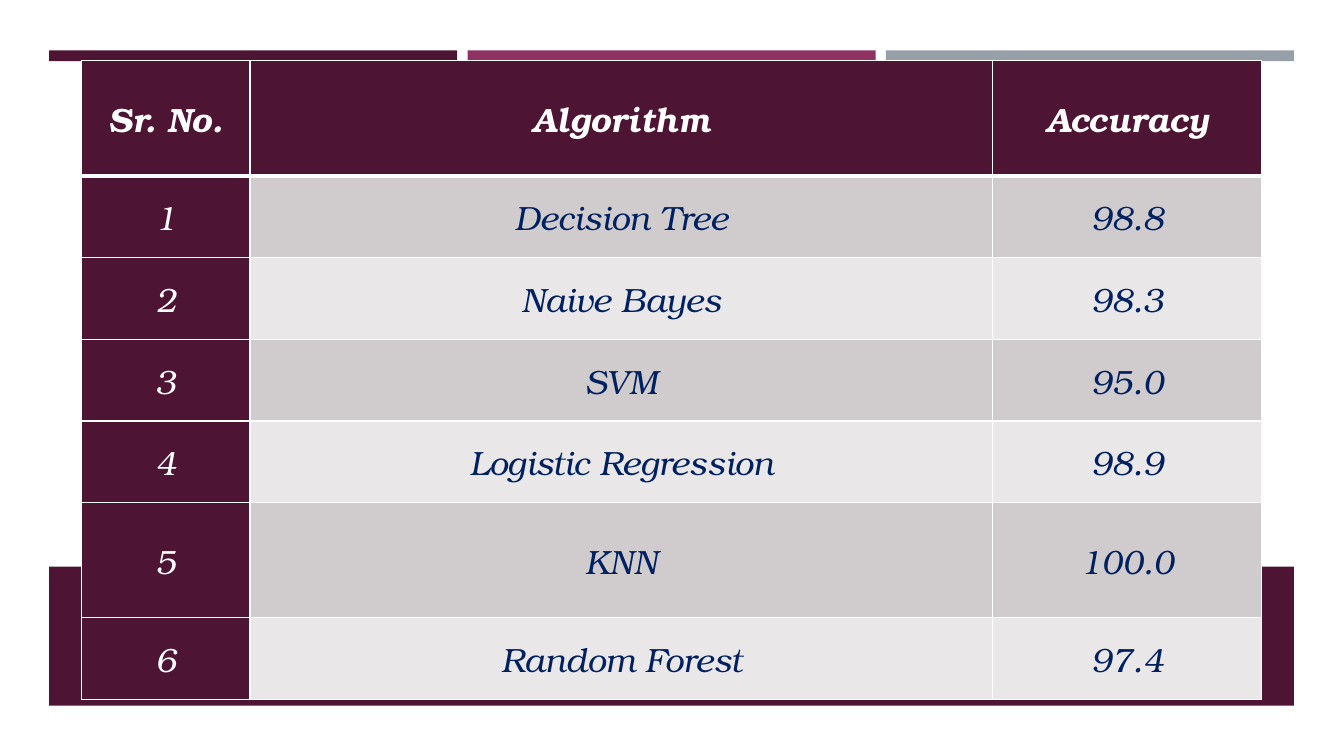
from lxml import etree
from pptx import Presentation
from pptx.dml.color import RGBColor
from pptx.enum.shapes import MSO_SHAPE
from pptx.enum.text import MSO_ANCHOR, PP_ALIGN
from pptx.oxml.ns import qn
from pptx.util import Cm, Pt

RECT = MSO_SHAPE.RECTANGLE
MIDDLE = MSO_ANCHOR.MIDDLE
CENTER = PP_ALIGN.CENTER

COLORS = {
    "plum": "4D1434",
    "berry": "903163",
    "slate": "969FA7",
    "dark": "D0CCCE",
    "light": "E9E7E8",
    "navy": "002060",
    "white": "FFFFFF",
}
FONT = {"name": "TeX Gyre Bonum", "size": Pt(24), "italic": True}
CELL = {
    "vertical_anchor": MIDDLE,
    "margin_left": Cm(0.03),
    "margin_right": Cm(0.03),
    "margin_top": Cm(0.03),
    "margin_bottom": Cm(0),
}
PLAIN = {"first_row": False, "horz_banding": False}
COLS = (4.24, 18.72, 6.78)
TALL, SHORT = 2.9, 2.06
ROWS = (TALL, SHORT, SHORT, SHORT, SHORT, TALL, SHORT)
HEADS = ("Sr. No.", "Algorithm", "Accuracy")
SCORES = (
    ("Decision Tree", "98.8"),
    ("Naive Bayes", "98.3"),
    ("SVM", "95.0"),
    ("Logistic Regression", "98.9"),
    ("KNN", "100.0"),
    ("Random Forest", "97.4"),
)


def set_all(target, values):
    for name, value in values.items():
        setattr(target, name, value)


def paint(fill, color):
    fill.solid()
    fill.fore_color.rgb = RGBColor.from_string(COLORS[color])


def add_bar(slide, left, top, width, height, color):
    bar = slide.shapes.add_shape(RECT, Cm(left), Cm(top), Cm(width), Cm(height))
    bar.shadow.inherit = False
    bar.line.fill.background()
    paint(bar.fill, color)


def add_strip(slide, left, top, width, height):
    gap = 0.26
    tints = ("plum", "berry", "slate")
    size = (width - gap * (len(tints) - 1)) / len(tints)
    for i, tint in enumerate(tints):
        add_bar(slide, left + i * (size + gap), top, size, height, tint)


def add_edges(cell, widths):
    props = cell._tc.get_or_add_tcPr()
    for side, width in widths.items():
        edge = etree.SubElement(props, qn("a:ln" + side), w=str(Pt(width)))
        fill = etree.SubElement(edge, qn("a:solidFill"))
        etree.SubElement(fill, qn("a:srgbClr"), val=COLORS["white"])


def fill_cell(cell, text, row, col):
    head = row == 0
    edges = {"L": 1, "R": 1, "T": 3 if row == 1 else 1, "B": 3 if head else 1}
    add_edges(cell, edges)
    set_all(cell, CELL)
    deep = head or col == 0
    paint(cell.fill, "plum" if deep else "dark" if row % 2 else "light")
    par = cell.text_frame.paragraphs[0]
    par.alignment = CENTER
    run = par.add_run()
    run.text = text
    set_all(run.font, FONT)
    run.font.bold = head
    paint(run.font.fill, "white" if deep else "navy")


def add_scores(slide, left, top, width, height):
    lines = [HEADS]
    lines += [(str(i), *score) for i, score in enumerate(SCORES, 1)]
    frame = slide.shapes.add_table(
        len(ROWS), len(COLS), Cm(left), Cm(top), Cm(width), Cm(height)
    )
    table = frame.table
    set_all(table, PLAIN)
    for col, share in zip(table.columns, COLS):
        col.width = Cm(width * share / sum(COLS))
    for row, share in zip(table.rows, ROWS):
        row.height = Cm(height * share / sum(ROWS))
    for r, line in enumerate(lines):
        for c, text in enumerate(line):
            fill_cell(table.cell(r, c), text, r, c)


def main():
    deck = Presentation()
    deck.slide_width, deck.slide_height = Cm(33.87), Cm(19.05)
    slide = deck.slides.add_slide(deck.slide_layouts[6])
    add_strip(slide, 1.24, 1.27, 31.37, 0.27)
    add_bar(slide, 1.24, 14.28, 31.37, 3.5, "plum")
    add_scores(slide, 2.06, 1.53, sum(COLS), sum(ROWS))
    deck.save("out.pptx")


if __name__ == "__main__":
    main()
